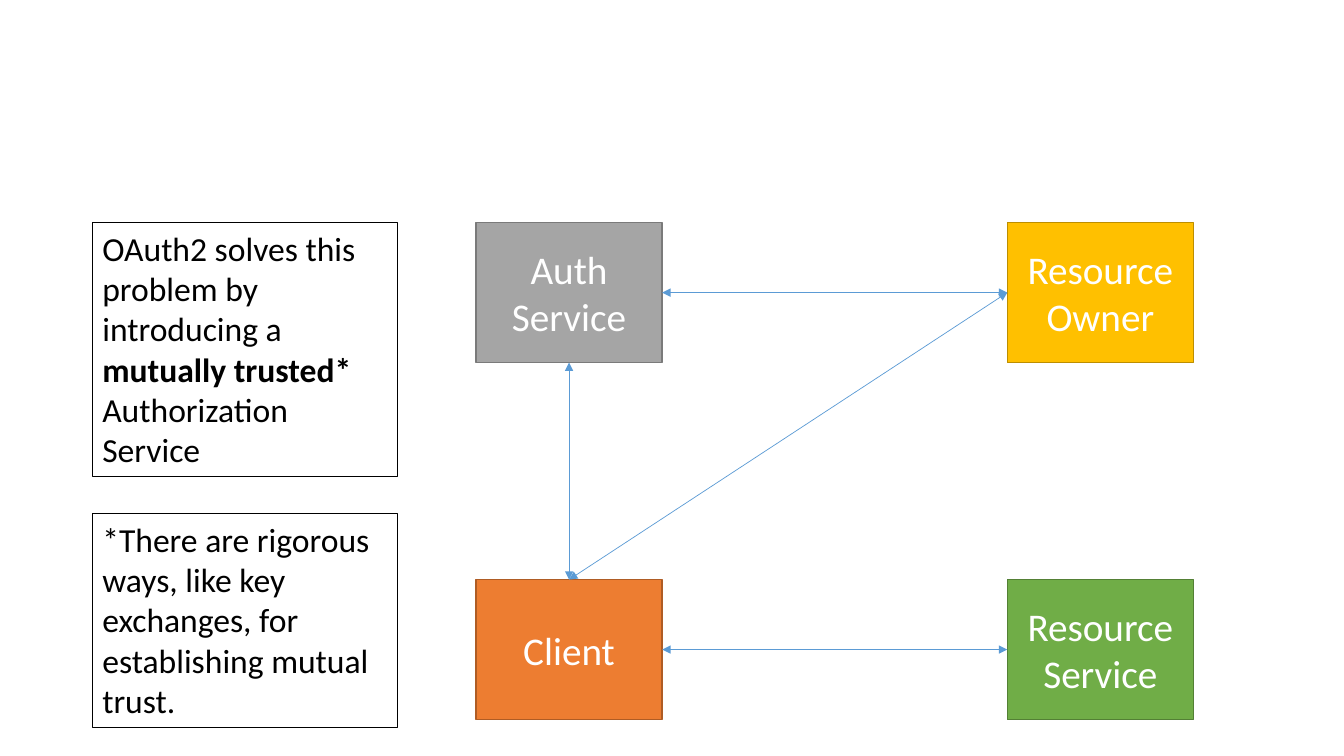
"""Build the slide on OAuth2 and its mutually trusted authorization service."""
from lxml.etree import SubElement
from pptx import Presentation
from pptx.dml.color import RGBColor
from pptx.enum.shapes import MSO_CONNECTOR as CONN, MSO_SHAPE as SHAPE
from pptx.enum.text import MSO_ANCHOR as ANCHOR, MSO_AUTO_SIZE as AUTO, PP_ALIGN as ALIGN
from pptx.oxml.ns import qn
from pptx.util import Pt

COLORS = {
    "white": "FFFFFF", "black": "000000", "arrow": "5B9BD5",
    "auth": "A5A5A5", "auth_line": "7A7A7A",
    "owner": "FFC000", "owner_line": "BD8E00",
    "client": "ED7D31", "client_line": "AF5C24",
    "service": "70AD47", "service_line": "538035",
}
FONT = "Calibri"
LEFT_COL, RIGHT_COL = 340, 719.5
TOP_ROW, BOTTOM_ROW = 159, 414
ROLE_W, ROLE_H = 133, 100
NOTE_X, NOTE_W = 66, 218
TOP, LEFT, BOTTOM, RIGHT = range(4)


def rgb(name):
    return RGBColor.from_string(COLORS[name])


def paint(s, fill, line):
    s.fill.solid()
    s.fill.fore_color.rgb = rgb(fill)
    s.line.color.rgb = rgb(line)
    s.line.width = Pt(1)


def set_font(p, size, color):
    p.font.name = FONT
    p.font.size = Pt(size)
    p.font.color.rgb = rgb(color)


def add_role(slide, text, x, y, color):
    s = slide.shapes.add_shape(SHAPE.RECTANGLE, Pt(x), Pt(y), Pt(ROLE_W), Pt(ROLE_H))
    s.shadow.inherit = False
    paint(s, color, f"{color}_line")
    tf = s.text_frame
    tf.word_wrap = True
    tf.vertical_anchor = ANCHOR.MIDDLE
    p = tf.paragraphs[0]
    p.text = text
    p.alignment = ALIGN.CENTER
    set_font(p, 28, "white")
    return s


def add_arrow(slide, start, start_site, end, end_site):
    c = slide.shapes.add_connector(CONN.STRAIGHT, 0, 0, 0, 0)
    c.begin_connect(start, start_site)
    c.end_connect(end, end_site)
    c.line.color.rgb = rgb("arrow")
    c.line.width = Pt(0.5)
    sp_pr = c.element.spPr
    ln = sp_pr.find(qn("a:ln"))
    for tag in ("a:headEnd", "a:tailEnd"):
        SubElement(ln, qn(tag), type="triangle")
    SubElement(sp_pr, qn("a:effectLst"))


def add_note(slide, runs, y, height):
    s = slide.shapes.add_textbox(Pt(NOTE_X), Pt(y), Pt(NOTE_W), Pt(height))
    paint(s, "white", "black")
    tf = s.text_frame
    tf.word_wrap = True
    tf.auto_size = AUTO.SHAPE_TO_FIT_TEXT
    p = tf.paragraphs[0]
    set_font(p, 24, "black")
    for text, bold in runs:
        r = p.add_run()
        r.text = text
        r.font.bold = bold


def main():
    prs = Presentation()
    prs.slide_width, prs.slide_height = Pt(960), Pt(540)
    slide = prs.slides.add_slide(prs.slide_layouts[6])

    client = add_role(slide, "Client", LEFT_COL, BOTTOM_ROW, "client")
    service = add_role(slide, "Resource Service", RIGHT_COL, BOTTOM_ROW, "service")
    owner = add_role(slide, "Resource Owner", RIGHT_COL, TOP_ROW, "owner")
    auth = add_role(slide, "Auth Service", LEFT_COL, TOP_ROW, "auth")

    add_arrow(slide, auth, RIGHT, owner, LEFT)
    add_arrow(slide, client, RIGHT, service, LEFT)
    add_arrow(slide, auth, BOTTOM, client, TOP)
    add_arrow(slide, owner, LEFT, client, TOP)

    add_note(slide, [
        ("OAuth2 solves this problem by introducing a ", False),
        ("mutually trusted* ", True),
        ("Authorization Service", False),
    ], TOP_ROW, 181.5)
    add_note(slide, [
        ("*There are rigorous ways, like key exchanges, for establishing mutual trust.", False),
    ], 367, 152.5)
    prs.save("out.pptx")


if __name__ == "__main__":
    main()
